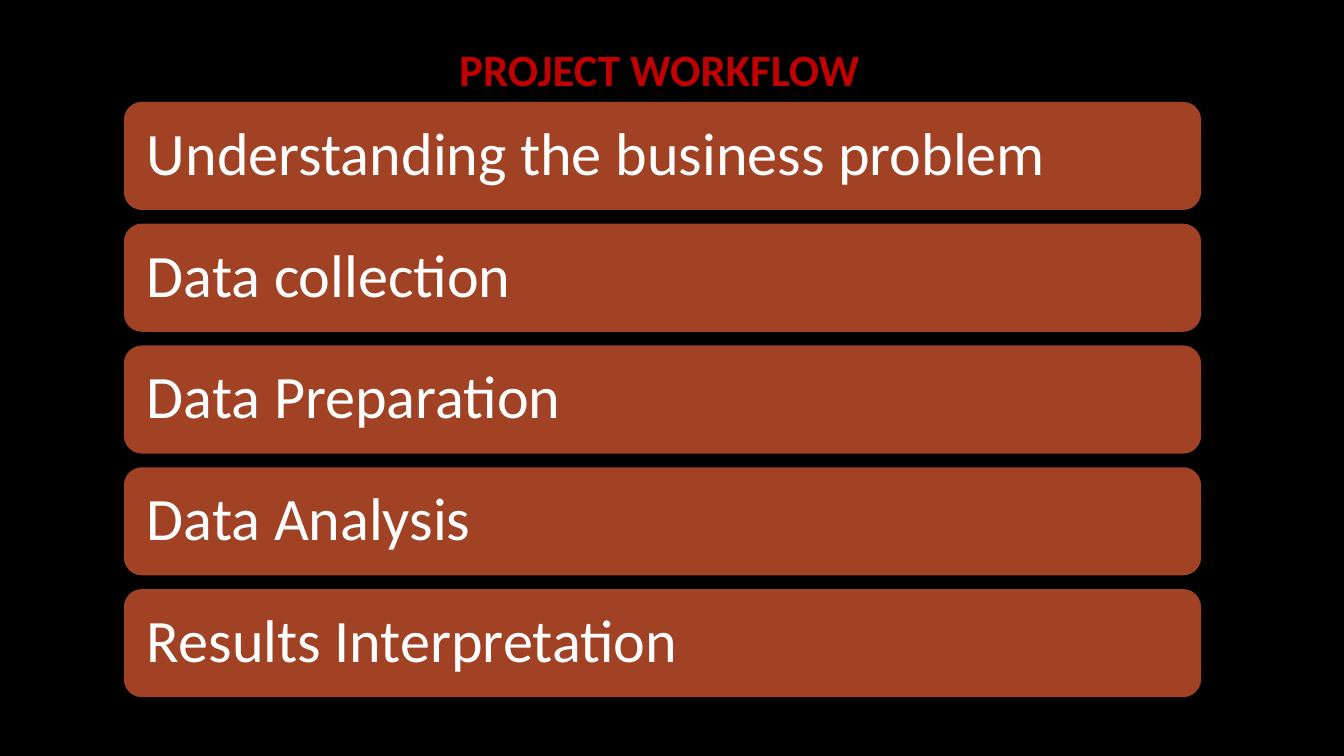
"""Build the project workflow slide."""
from dataclasses import dataclass

from pptx import Presentation
from pptx.dml.color import RGBColor
from pptx.enum.shapes import MSO_SHAPE as Shape
from pptx.enum.text import MSO_ANCHOR as Anchor, MSO_AUTO_SIZE as Fit, PP_ALIGN as Align
from pptx.util import Emu, Pt

SCALE = 9525
FONT = "Calibri"
BLACK, RUST, RED, WHITE = "000000", "A14225", "C00000", "FFFFFF"
LEFT, TOP, WIDTH, HEIGHT, PITCH, INSET = 118, 97, 1026, 103, 116, 17
STEPS = [
    "Understanding the business problem",
    "Data collection",
    "Data Preparation",
    "Data Analysis",
    "Results Interpretation",
]


@dataclass
class Box:
    left: int
    top: int
    width: int
    height: int


@dataclass
class Style:
    size: int
    color: str
    bold: bool
    align: Align
    anchor: Anchor


HEAD = Style(32, RED, True, Align.CENTER, Anchor.BOTTOM)
BODY = Style(43, WHITE, False, Align.LEFT, Anchor.MIDDLE)


def px(count: int) -> Emu:
    return Emu(count * SCALE)


def paint(fill, color: str) -> None:
    fill.solid()
    fill.fore_color.rgb = RGBColor.from_string(color)


def write(shape, text: str, style: Style) -> None:
    frame = shape.text_frame
    frame.text = text
    frame.word_wrap = True
    frame.auto_size = Fit.NONE
    frame.vertical_anchor = style.anchor
    para = frame.paragraphs[0]
    para.alignment = style.align
    para.line_spacing = 0.9
    font = para.runs[0].font
    font.name, font.size, font.bold = FONT, Pt(style.size), style.bold
    paint(font.fill, style.color)


def add_title(slide, text: str, box: Box) -> None:
    title = slide.shapes.title
    title.left, title.top = px(box.left), px(box.top)
    title.width, title.height = px(box.width), px(box.height)
    write(title, text, HEAD)


def add_step(slide, text: str, box: Box) -> None:
    step = slide.shapes.add_shape(
        Shape.ROUNDED_RECTANGLE,
        px(box.left), px(box.top), px(box.width), px(box.height),
    )
    step.shadow.inherit = False
    paint(step.fill, RUST)
    step.line.fill.background()
    write(step, text, BODY)
    frame = step.text_frame
    frame.margin_left = frame.margin_right = px(INSET)
    frame.margin_top = frame.margin_bottom = px(INSET)


def main() -> None:
    deck = Presentation()
    deck.slide_width, deck.slide_height = px(1280), px(720)
    slide = deck.slides.add_slide(deck.slide_layouts.get_by_name("Title Only"))
    paint(slide.background.fill, BLACK)
    add_title(slide, "PROJECT WORKFLOW", Box(58, 28, 1140, 68))
    for row, text in enumerate(STEPS):
        add_step(slide, text, Box(LEFT, TOP + row * PITCH, WIDTH, HEIGHT))
    deck.save("out.pptx")


if __name__ == "__main__":
    main()
